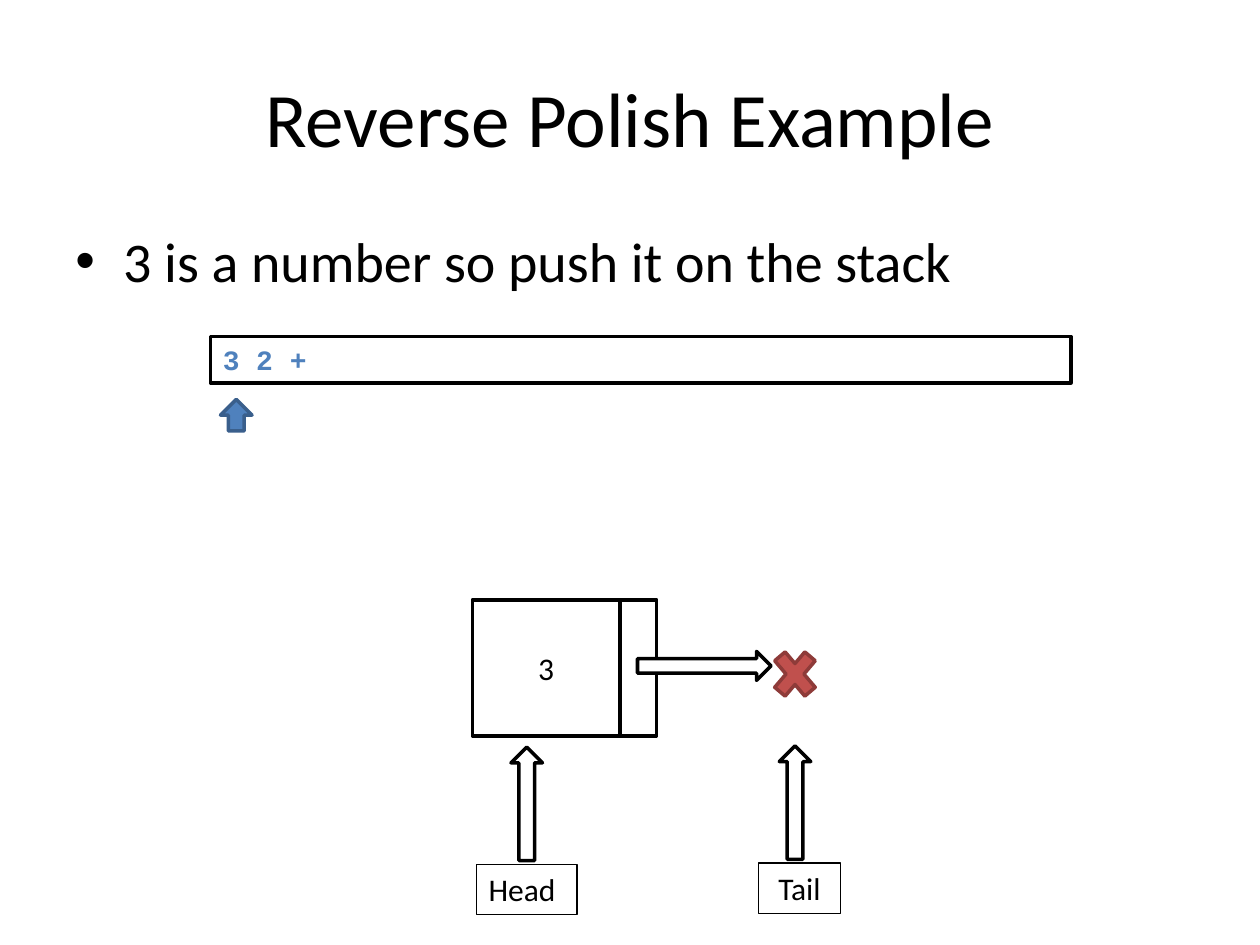
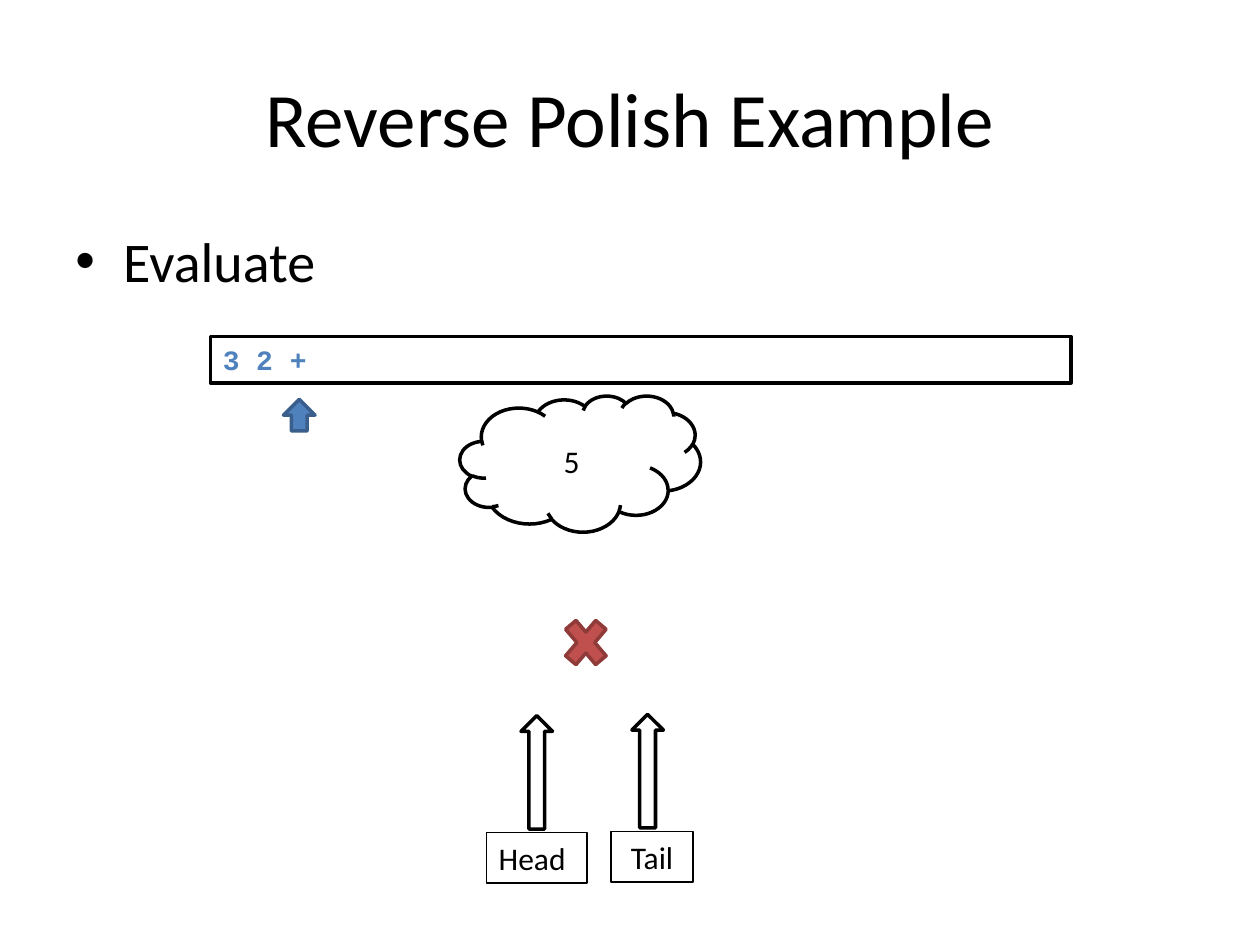
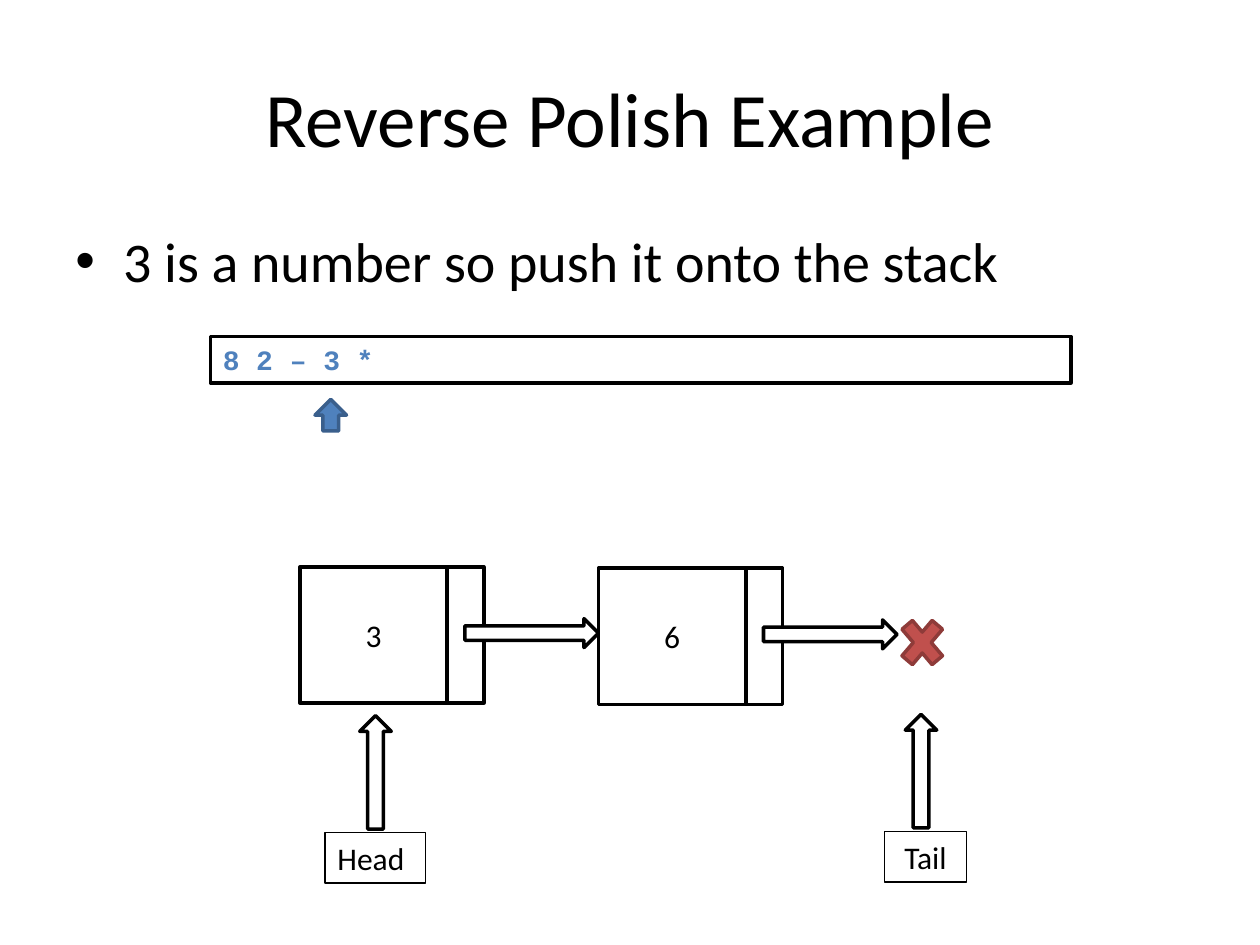
from lxml.etree import SubElement as Sub
from pptx import Presentation
from pptx.dml.color import RGBColor as RGB
from pptx.enum.shapes import MSO_SHAPE as Kind
from pptx.enum.text import MSO_ANCHOR as Anchor, PP_ALIGN as Align
from pptx.oxml.ns import qn
from pptx.util import Inches, Pt

BLACK = RGB(0x00, 0x00, 0x00)
WHITE = RGB(0xFF, 0xFF, 0xFF)
BLUE = RGB(0x4F, 0x81, 0xBD)
NAVY = RGB(0x3A, 0x5F, 0x8C)
RED = RGB(0xC0, 0x50, 0x4D)
DARK = RGB(0x8E, 0x3B, 0x39)


class Deck:
    """Slides that trace a reverse Polish sum on a linked stack."""

    def __init__(self):
        self.prs = Presentation()
        self.prs.slide_width, self.prs.slide_height = Inches(10), Inches(7.5)
        self.slide = None

    def text(self, shape, words, size=18, font="Calibri", color=BLACK,
             bold=False, align=Align.CENTER, anchor=Anchor.MIDDLE):
        frame = shape.text_frame
        frame.word_wrap = True
        frame.vertical_anchor = anchor
        para = frame.paragraphs[0]
        para.alignment = align
        run = para.add_run()
        run.text = words
        run.font.size, run.font.name, run.font.bold = Pt(size), font, bold
        run.font.color.rgb = color
        return para

    def draw(self, kind, x, y, w, h, fill=WHITE, line=BLACK, width=2, group=None):
        home = group or self.slide
        shape = home.shapes.add_shape(kind, *map(Inches, (x, y, w, h)))
        shape.shadow.inherit = False
        if fill is None:
            shape.fill.background()
        else:
            shape.fill.solid()
            shape.fill.fore_color.rgb = fill
        shape.line.color.rgb = line
        shape.line.width = Pt(width)
        return shape

    def box(self, x, y, w, h):
        return self.slide.shapes.add_textbox(*map(Inches, (x, y, w, h)))

    def start(self, point, terms, step):
        self.slide = self.prs.slides.add_slide(self.prs.slide_layouts[6])
        self.text(self.box(0.5, 0.3, 9, 1.25), "Reverse Polish Example", 44)
        para = self.text(self.box(0.5, 1.75, 9, 4.95), point, 32,
                         align=Align.LEFT, anchor=Anchor.TOP)
        props = para._p.get_or_add_pPr()
        props.set("marL", str(Inches(0.38)))
        props.set("indent", str(Inches(-0.38)))
        Sub(props, qn("a:buFont"), typeface="Arial")
        Sub(props, qn("a:buChar"), char="•")
        strip = self.draw(Kind.RECTANGLE, 1.67, 2.67, 6.83, 0.37)
        self.text(strip, terms, 16, "Courier New", BLUE, True,
                  Align.LEFT, Anchor.TOP)
        self.draw(Kind.UP_ARROW, 1.75 + 0.25 * step, 3.17, 0.25, 0.25, BLUE, NAVY)

    def label(self, words, mid, y, left, w, align):
        tag = self.draw(Kind.RECTANGLE, mid - left, y, w, 0.4, None, width=0.75)
        self.text(tag, words, align=align, anchor=Anchor.TOP)
        self.draw(Kind.UP_ARROW, mid - 0.125, y - 0.93, 0.25, 0.9)

    def ends(self, head, tail, cross, y):
        self.label("Head", head, y, 0.4, 0.8, Align.LEFT)
        self.draw(Kind.MATH_MULTIPLY, cross - 0.23, y - 1.78, 0.46, 0.54, RED, DARK)
        self.label("Tail", tail, y - 0.01, 0.29, 0.65, Align.CENTER)

    def node(self, value, x, y):
        group = self.slide.shapes.add_group_shape()
        cell = self.draw(Kind.RECTANGLE, x, y, 1.17, 1.08, group=group)
        self.text(cell, value)
        self.draw(Kind.RECTANGLE, x + 1.17, y, 0.29, 1.08, group=group)
        self.draw(Kind.RIGHT_ARROW, x + 1.31, y + 0.41, 1.06, 0.23)

    def cloud(self, value, x, y):
        self.text(self.draw(Kind.CLOUD, x, y, 1.91, 1.08), value)


def main():
    deck = Deck()
    deck.start("3 is a number so push it on the stack", "3 2 +", 0)
    deck.ends(4.18, 6.31, 6.31, 6.86)
    deck.node("3", 3.75, 4.76)

    deck.start("Evaluate", "3 2 +", 2)
    deck.ends(4.26, 5.14, 4.65, 6.61)
    deck.cloud("5", 3.65, 3.14)

    deck.start("3 is a number so push it onto the stack", "8 2 – 3 *", 3)
    deck.ends(2.98, 7.31, 7.32, 6.61)
    deck.node("6", 4.75, 4.51)
    deck.node("3", 2.38, 4.5)
    deck.prs.save("out.pptx")


if __name__ == "__main__":
    main()
